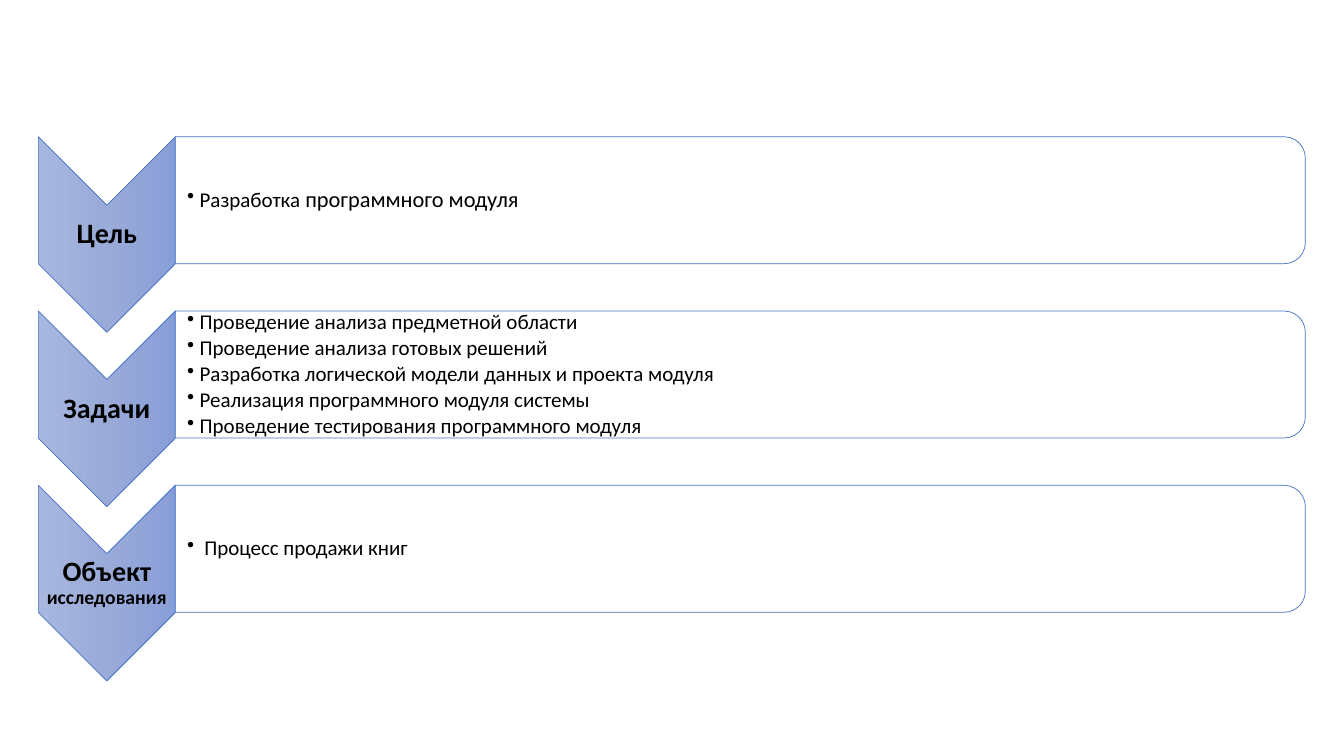
import copy
from dataclasses import dataclass

import pptx
import pptx.dml.color
import pptx.enum.shapes
import pptx.enum.text
import pptx.oxml
import pptx.oxml.ns
import pptx.util

Pt = pptx.util.Pt
RGB = pptx.dml.color.RGBColor
Kind = pptx.enum.shapes.MSO_SHAPE
Align = pptx.enum.text.PP_ALIGN
qn = pptx.oxml.ns.qn


@dataclass(frozen=True)
class Theme:
    font: str = "Calibri"
    ink: RGB = RGB(0, 0, 0)
    line: RGB = RGB(0x44, 0x72, 0xC4)
    paper: RGB = RGB(0xFF, 0xFF, 0xFF)
    shades: tuple = (RGB(0xA8, 0xB7, 0xDF), RGB(0x9A, 0xAB, 0xD9), RGB(0x88, 0x9E, 0xD7))
    head: float = 20
    sub: float = 14
    body: float = 15
    large: float = 16


@dataclass(frozen=True)
class Run:
    text: str
    size: float


@dataclass(frozen=True)
class Box:
    left: float
    top: float
    width: float
    height: float

    def down(self, gap: float) -> "Box":
        return Box(self.left, self.top + gap, self.width, self.height)


@dataclass(frozen=True)
class Row:
    label: list[Run]
    items: list[list[Run]]


THEME = Theme()
ARROW = Box(27.4, 97.7, 97.8, 139.7)
LABEL = Box(27.4, 146.7, 97.8, 41.9)
PANEL = Box(125.2, 97.7, 807.2, 90.7)
BODY = Box(125.2, 102.1, 802.8, 81.9)
PITCH = 124.5

ROWS = [
    Row([Run("Цель", THEME.head)],
        [[Run("Разработка", THEME.body), Run(" программного модуля", THEME.large)]]),
    Row([Run("Задачи", THEME.head)],
        [[Run(text, THEME.body)] for text in (
            "Проведение анализа предметной области",
            "Проведение анализа готовых решений",
            "Разработка логической модели данных и проекта модуля",
            "Реализация программного модуля системы",
            "Проведение тестирования программного модуля",
        )]),
    Row([Run("Объект", THEME.head), Run(" исследования", THEME.sub)],
        [[Run(" Процесс продажи книг", THEME.body)]]),
]


def add_turned(slide, kind: Kind, box: Box):
    """Add a shape turned by 90 degrees that covers the given box."""
    left = box.left + (box.width - box.height) / 2
    top = box.top + (box.height - box.width) / 2
    shape = slide.shapes.add_shape(kind, Pt(left), Pt(top), Pt(box.height), Pt(box.width))
    shape.rotation = 90
    shape.shadow.inherit = False
    shape.line.color.rgb = THEME.line
    shape.line.width = Pt(0.5)
    return shape


def add_arrow(slide, box: Box) -> None:
    shape = add_turned(slide, Kind.CHEVRON, box)
    shape.fill.gradient()
    shape.fill.gradient_angle = 0
    grad = shape._element.spPr.find(qn("a:gradFill"))
    grad.set("rotWithShape", "0")
    stops = grad.find(qn("a:gsLst"))
    stops.append(copy.deepcopy(stops[-1]))
    for index, (stop, shade) in enumerate(zip(shape.fill.gradient_stops, THEME.shades)):
        stop.position = index / 2
        stop.color.rgb = shade


def add_panel(slide, box: Box) -> None:
    shape = add_turned(slide, Kind.ROUND_2_SAME_RECTANGLE, box)
    shape.fill.solid()
    shape.fill.fore_color.rgb = THEME.paper
    color = shape._element.spPr.find(qn("a:solidFill"))[0]
    pptx.oxml.ns  # namespace helpers stay qualified
    alpha = color.makeelement(qn("a:alpha"), {"val": "90000"})
    color.append(alpha)


def add_text(slide, box: Box, paras: list[list[Run]], *, bold: bool = False,
             align: Align = Align.LEFT, inset: float = 0.6, after: float = 0,
             bullet: bool = False) -> None:
    shape = slide.shapes.add_textbox(Pt(box.left), Pt(box.top), Pt(box.width), Pt(box.height))
    frame = shape.text_frame
    frame.word_wrap = True
    frame.vertical_anchor = pptx.enum.text.MSO_ANCHOR.MIDDLE
    frame.margin_left = Pt(inset)
    frame.margin_right = frame.margin_top = frame.margin_bottom = Pt(0.6)
    for index, runs in enumerate(paras):
        para = frame.add_paragraph() if index else frame.paragraphs[0]
        para.alignment = align
        para.line_spacing = 0.9
        para.space_after = Pt(after)
        if bullet:
            props = para._p.get_or_add_pPr()
            props.set("marL", str(Pt(9)))
            props.set("indent", str(-Pt(9)))
            props.append(props.makeelement(qn("a:buChar"), {"char": "•"}))
        for item in runs:
            run = para.add_run()
            run.text = item.text
            run.font.name = THEME.font
            run.font.size = Pt(item.size)
            run.font.bold = bold
            run.font.color.rgb = THEME.ink


def main() -> None:
    deck = pptx.Presentation()
    deck.slide_width, deck.slide_height = Pt(960), Pt(540)
    slide = deck.slides.add_slide(deck.slide_layouts[6])
    for index, row in enumerate(ROWS):
        gap = index * PITCH
        add_arrow(slide, ARROW.down(gap))
        add_text(slide, LABEL.down(gap), [row.label], bold=True, align=Align.CENTER, after=7)
        add_panel(slide, PANEL.down(gap))
        add_text(slide, BODY.down(gap), row.items, inset=8.4, after=2.25, bullet=True)
    deck.save("out.pptx")


if __name__ == "__main__":
    main()
